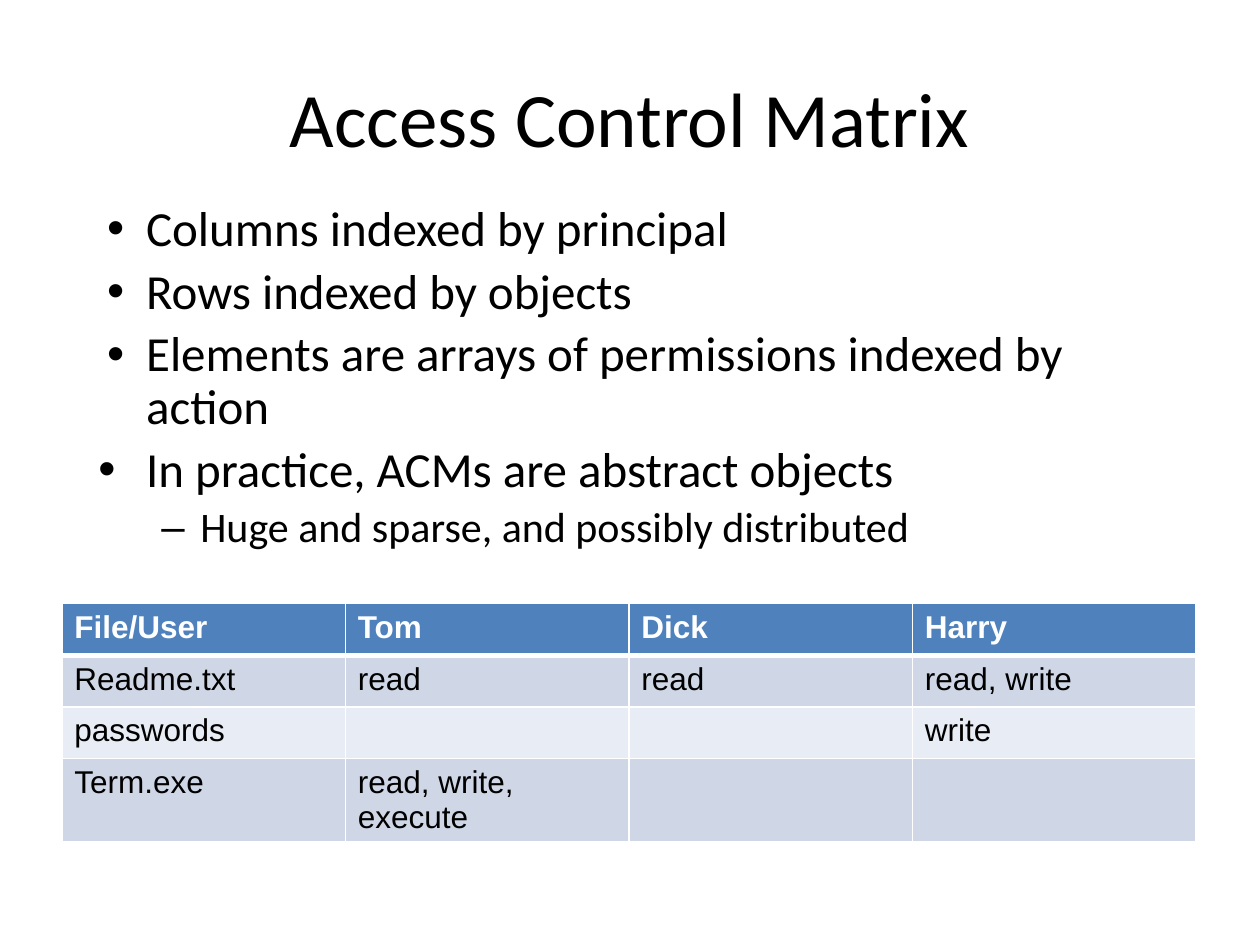
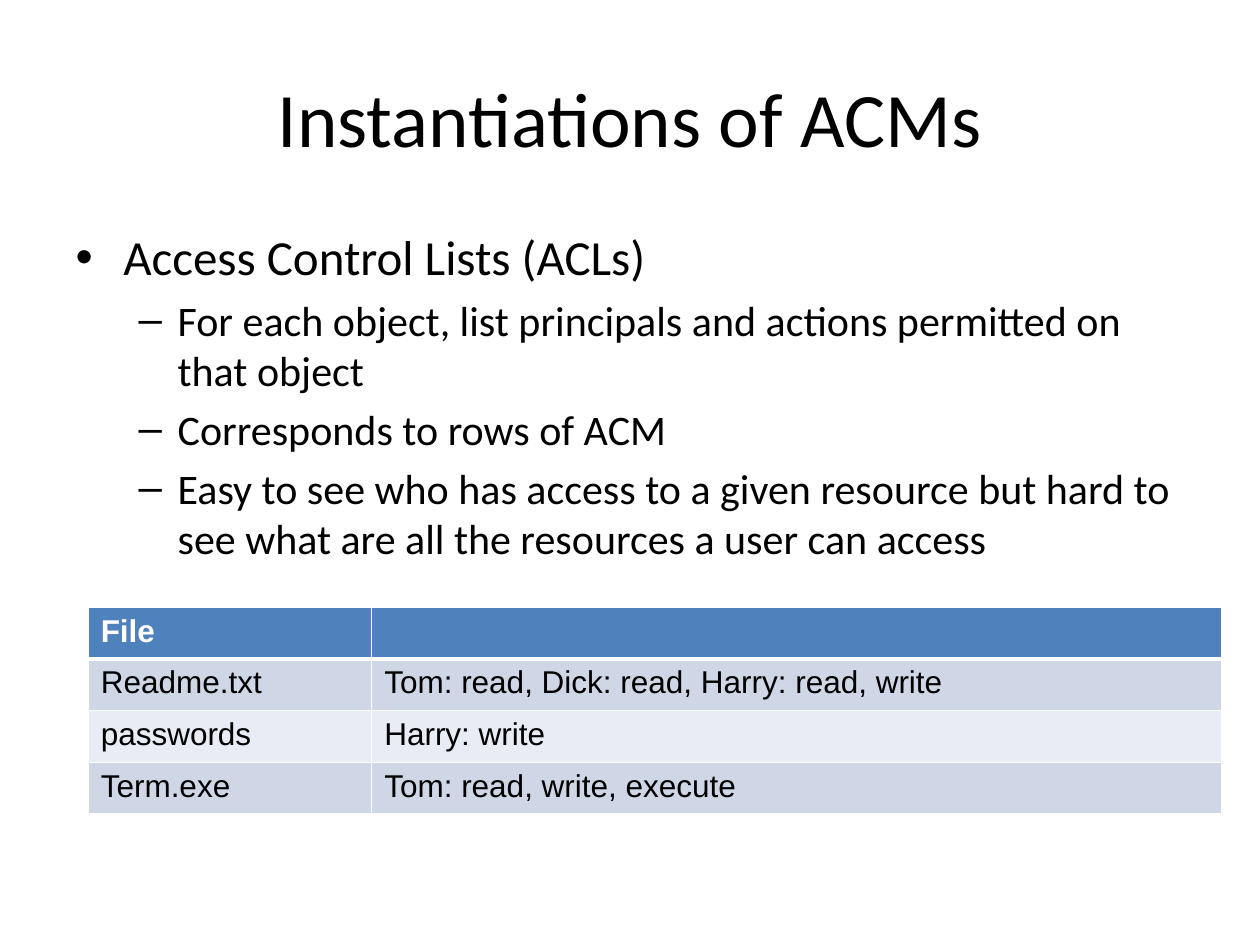
"""Build two slides on access control matrices and their instantiations."""
import pptx
import pptx.dml.color
import pptx.enum.text
import pptx.oxml
import pptx.oxml.ns
import pptx.util

PX = 9144
BLACK = pptx.dml.color.RGBColor(0x00, 0x00, 0x00)
WHITE = pptx.dml.color.RGBColor(0xFF, 0xFF, 0xFF)
HEADER_BLUE = pptx.dml.color.RGBColor(0x4F, 0x81, 0xBD)
BAND_DARK = pptx.dml.color.RGBColor(0xCF, 0xD7, 0xE7)
BAND_LIGHT = pptx.dml.color.RGBColor(0xE8, 0xEC, 0xF4)
LEVEL_SIZES = (28, 24)
LEVEL_MARGINS = (38, 81)
ROW_HEIGHT = 41


def write(para, text, *, font, size, color=BLACK, bold=False, align=None):
    """Add one formatted span of text to a paragraph."""
    span = para.add_run()
    span.text = text
    span.font.name = font
    span.font.size = pptx.util.Pt(size)
    span.font.bold = bold
    span.font.color.rgb = color
    if align is not None:
        para.alignment = align


def add_border(cell, index, side, points):
    """Draw a white border line on one side of a table cell."""
    line = pptx.oxml.parse_xml(
        f'<a:{side} {pptx.oxml.ns.nsdecls("a")} w="{pptx.util.Pt(points)}">'
        f'<a:solidFill><a:srgbClr val="{WHITE}"/></a:solidFill></a:{side}>'
    )
    cell._tc.get_or_add_tcPr().insert(index, line)


class SlideBuilder:
    """Hold the shared style and the slide being built."""

    heading_font = "Calibri"
    table_font = "Arial"

    def __init__(self, deck):
        """Keep the deck that receives the slides."""
        self.deck = deck
        self.page = None

    def place(self, box, left, top, width, height):
        """Move a placeholder and fix its text size."""
        box.left, box.top = left * PX, top * PX
        box.width, box.height = width * PX, height * PX
        box.text_frame.word_wrap = True
        box.text_frame.auto_size = pptx.enum.text.MSO_AUTO_SIZE.NONE
        return box.text_frame

    def start(self, title):
        """Begin a slide with its centred title."""
        self.page = self.deck.slides.add_slide(self.deck.slide_layouts[1])
        frame = self.place(self.page.shapes.title, 50, 30, 900, 125)
        frame.vertical_anchor = pptx.enum.text.MSO_ANCHOR.MIDDLE
        write(frame.paragraphs[0], title, font=self.heading_font, size=44,
              align=pptx.enum.text.PP_ALIGN.CENTER)

    def bullets(self, items, *, left, top, width, height, line_spacing=1.0):
        """Fill the body with (level, hanging indent, text) items."""
        frame = self.place(self.page.placeholders[1], left, top, width, height)
        for index, (level, hanging, text) in enumerate(items):
            para = frame.add_paragraph() if index else frame.paragraphs[0]
            size = LEVEL_SIZES[level]
            para.level = level
            para.line_spacing = line_spacing
            para.space_before = pptx.util.Pt(size * 0.2 if index else 0)
            properties = para._p.get_or_add_pPr()
            properties.set("marL", str(LEVEL_MARGINS[level] * PX))
            properties.set("indent", str(-hanging * PX))
            write(para, text, font=self.heading_font, size=size)

    def table(self, rows, *, left, top, columns):
        """Add a table with a header row and banded body rows."""
        frame = self.page.shapes.add_table(
            len(rows), len(columns), left * PX, top * PX,
            sum(columns) * PX, len(rows) * ROW_HEIGHT * PX)
        grid = frame.table
        for column, width in zip(grid.columns, columns):
            column.width = width * PX
        for row_index, texts in enumerate(rows):
            grid.rows[row_index].height = ROW_HEIGHT * PX
            for column_index, text in enumerate(texts):
                self.cell(grid.cell(row_index, column_index), text, row_index)

    def cell(self, cell, text, row_index):
        """Format one table cell according to its row."""
        header = row_index == 0
        band = BAND_DARK if row_index % 2 else BAND_LIGHT
        cell.fill.solid()
        cell.fill.fore_color.rgb = HEADER_BLUE if header else band
        borders = [("lnL", 1), ("lnR", 1), ("lnB", 3 if header else 1)]
        if header:
            borders.insert(2, ("lnT", 1))
        for index, (side, points) in enumerate(borders):
            add_border(cell, index, side, points)
        if text:
            write(cell.text_frame.paragraphs[0], text, font=self.table_font,
                  size=18, color=WHITE if header else BLACK, bold=header)


def main():
    """Build and save the deck."""
    deck = pptx.Presentation()
    deck.slide_width, deck.slide_height = 1000 * PX, 750 * PX
    builder = SlideBuilder(deck)

    builder.start("Access Control Matrix")
    builder.bullets([
        (0, 31, "Columns indexed by principal"),
        (0, 31, "Rows indexed by objects"),
        (0, 31, "Elements are arrays of permissions indexed by action"),
        (0, 38, "In practice, ACMs are abstract objects"),
        (1, 31, "Huge and sparse, and possibly distributed"),
    ], left=68, top=157, width=872, height=493, line_spacing=0.9)
    builder.table([
        ("File/User", "Tom", "Dick", "Harry"),
        ("Readme.txt", "read", "read", "read, write"),
        ("passwords", "", "", "write"),
        ("Term.exe", "read, write, execute", "", ""),
    ], left=49, top=479, columns=[225] * 4)

    builder.start("Instantiations of ACMs")
    builder.bullets([
        (0, 38, "Access Control Lists (ACLs)"),
        (1, 31, "For each object, list principals and actions permitted on "
                "that object"),
        (1, 31, "Corresponds to rows of ACM"),
        (1, 31, "Easy to see who has access to a given resource but hard to "
                "see what are all the resources a user can access"),
    ], left=50, top=175, width=900, height=495)
    builder.table([
        ("File", ""),
        ("Readme.txt", "Tom: read, Dick: read, Harry: read, write"),
        ("passwords", "Harry: write"),
        ("Term.exe", "Tom: read, write, execute"),
    ], left=70, top=482, columns=[225, 675])

    deck.save("out.pptx")


if __name__ == "__main__":
    main()
